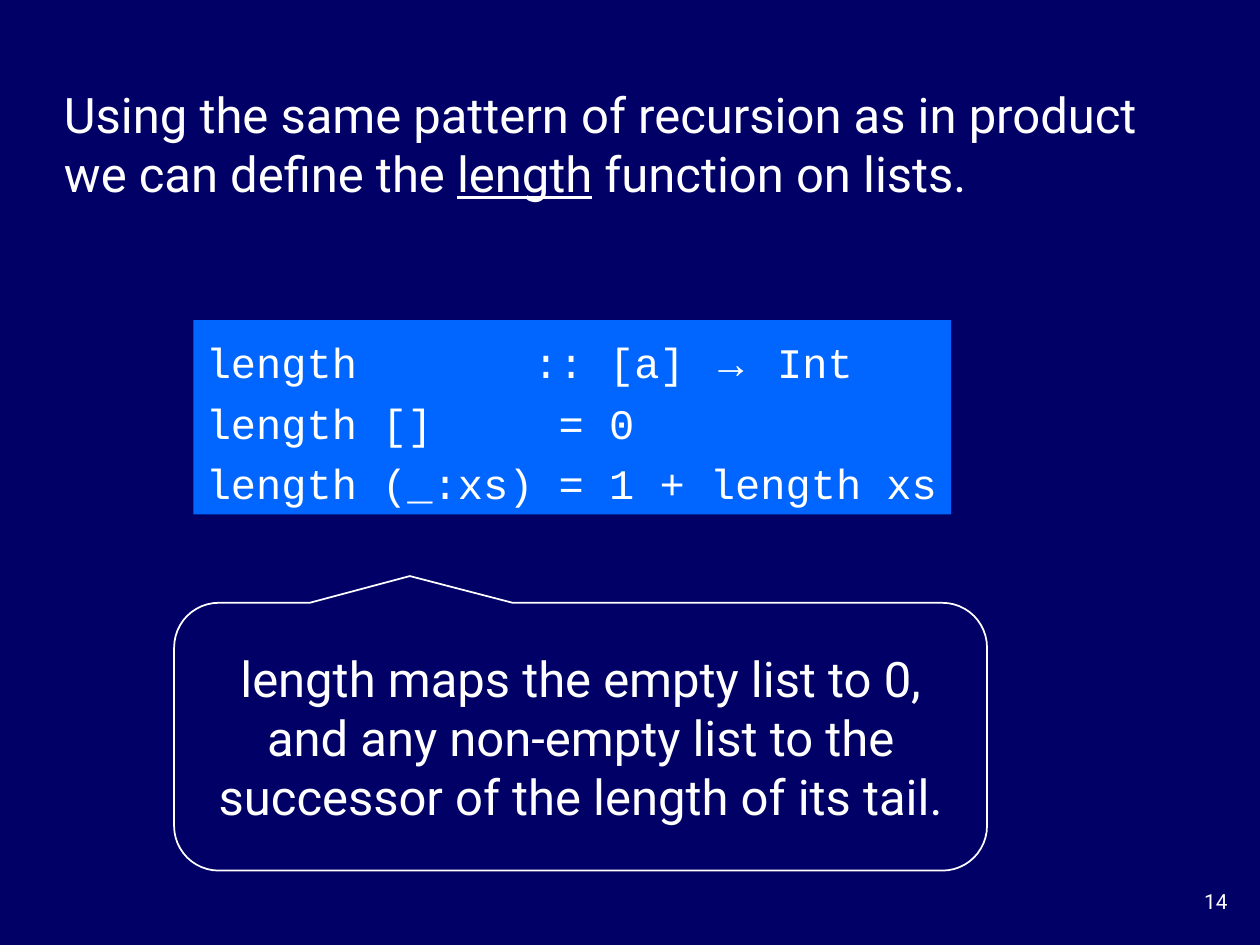
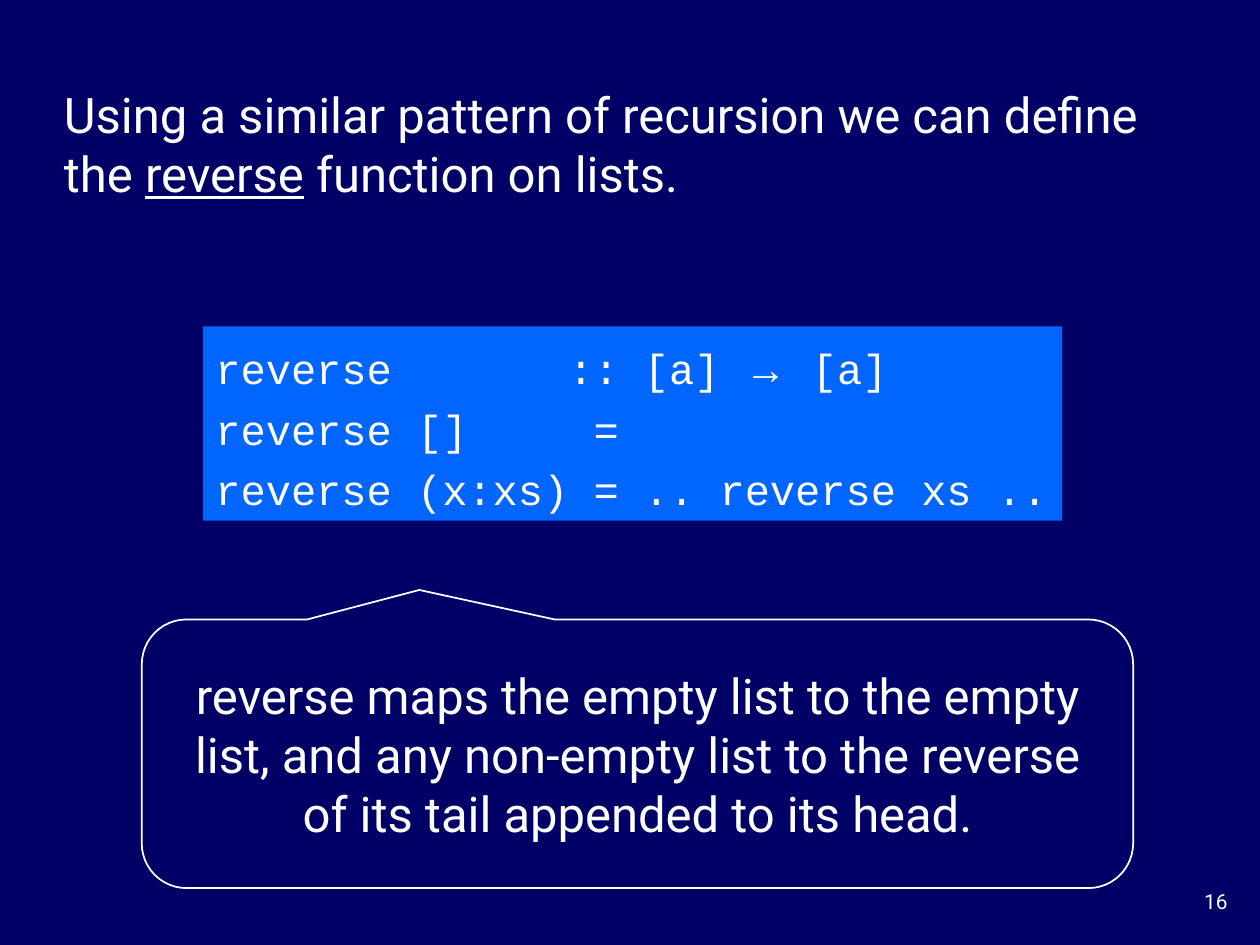
from pptx import Presentation
from pptx.dml.color import RGBColor
from pptx.enum.shapes import MSO_SHAPE
from pptx.enum.text import MSO_ANCHOR, PP_ALIGN
from pptx.util import Pt

NAVY = RGBColor(0x00, 0x00, 0x66)
BLUE = RGBColor(0x00, 0x66, 0xFF)
WHITE = RGBColor(0xFF, 0xFF, 0xFF)
BODY, CODE, SIGN = "Roboto", "Courier New", "Arial"
ARROW = "→"

# Boxes are left, top, width, height in points.
TITLE_BOX = (29.5, 28, 651, 108)
PAGE_BOX = (660, 504, 48.5, 24)

SLIDES = [
    {
        "page": "14",
        "title": ("Using the same pattern of recursion as in product we can define the ",
                  "length", " function on lists."),
        "code": ["length       :: [a] → Int",
                 "length []     = 0",
                 "length (_:xs) = 1 + length xs"],
        "code_box": (110.5, 183, 433, 111),
        "note": "length maps the empty list to 0, and any non-empty list "
                "to the successor of the length of its tail.",
        "note_box": (99.5, 344.5, 464.5, 153),
        "tip": (-0.21, -0.6),
    },
    {
        "page": "16",
        "title": ("Using a similar pattern of recursion we can define the ",
                  "reverse", " function on lists."),
        "code": ["reverse       :: [a] → [a]",
                 "reverse []     =",
                 "reverse (x:xs) = .. reverse xs .."],
        "code_box": (116, 186.5, 491, 111),
        "note": "reverse maps the empty list to the empty list, and any non-empty "
                "list to the reverse of its tail appended to its head.",
        "note_box": (81, 354, 566.5, 153.5),
        "tip": (-0.22, -0.61),
    },
]


def style(para, size, font=BODY, align=PP_ALIGN.LEFT):
    para.alignment = align
    para.font.size = Pt(size)
    para.font.name = font
    para.font.color.rgb = WHITE


def add_text(slide, box):
    frame = slide.shapes.add_textbox(*map(Pt, box)).text_frame
    frame.word_wrap = True
    return frame


def add_title(slide, parts):
    """Write the title with its middle part underlined."""
    frame = add_text(slide, TITLE_BOX)
    frame.vertical_anchor = MSO_ANCHOR.MIDDLE
    para = frame.paragraphs[0]
    style(para, 28)
    for part in parts:
        para.add_run().text = part
    para.runs[1].font.underline = True


def add_panel(slide, kind, box):
    shape = slide.shapes.add_shape(kind, *map(Pt, box))
    shape.shadow.inherit = False
    shape.text_frame.vertical_anchor = MSO_ANCHOR.MIDDLE
    return shape


def add_code(slide, lines, box):
    panel = add_panel(slide, MSO_SHAPE.RECTANGLE, box)
    panel.fill.solid()
    panel.fill.fore_color.rgb = BLUE
    panel.line.fill.background()
    frame = panel.text_frame
    frame.word_wrap = False
    for i, line in enumerate(lines):
        para = frame.add_paragraph() if i else frame.paragraphs[0]
        style(para, 24, CODE)
        para.line_spacing = 1.2
        left, sign, right = line.partition(ARROW)
        for part in filter(None, (left, sign, right)):
            run = para.add_run()
            run.text = part
            if part == ARROW:
                run.font.name = SIGN


def add_note(slide, text, box, tip):
    note = add_panel(slide, MSO_SHAPE.ROUNDED_RECTANGULAR_CALLOUT, box)
    note.adjustments[0], note.adjustments[1] = tip
    note.fill.background()
    note.line.color.rgb = WHITE
    note.line.width = Pt(1)
    note.text_frame.word_wrap = True
    note.text_frame.text = text
    style(note.text_frame.paragraphs[0], 28, align=PP_ALIGN.CENTER)


def add_page(slide, number):
    frame = add_text(slide, PAGE_BOX)
    frame.text = number
    style(frame.paragraphs[0], 11.9, align=PP_ALIGN.RIGHT)


def main():
    deck = Presentation()
    deck.slide_width, deck.slide_height = Pt(720), Pt(540)
    for data in SLIDES:
        slide = deck.slides.add_slide(deck.slide_layouts[6])
        slide.background.fill.solid()
        slide.background.fill.fore_color.rgb = NAVY
        add_page(slide, data["page"])
        add_title(slide, data["title"])
        add_code(slide, data["code"], data["code_box"])
        add_note(slide, data["note"], data["note_box"], data["tip"])
    deck.save("out.pptx")


if __name__ == "__main__":
    main()
